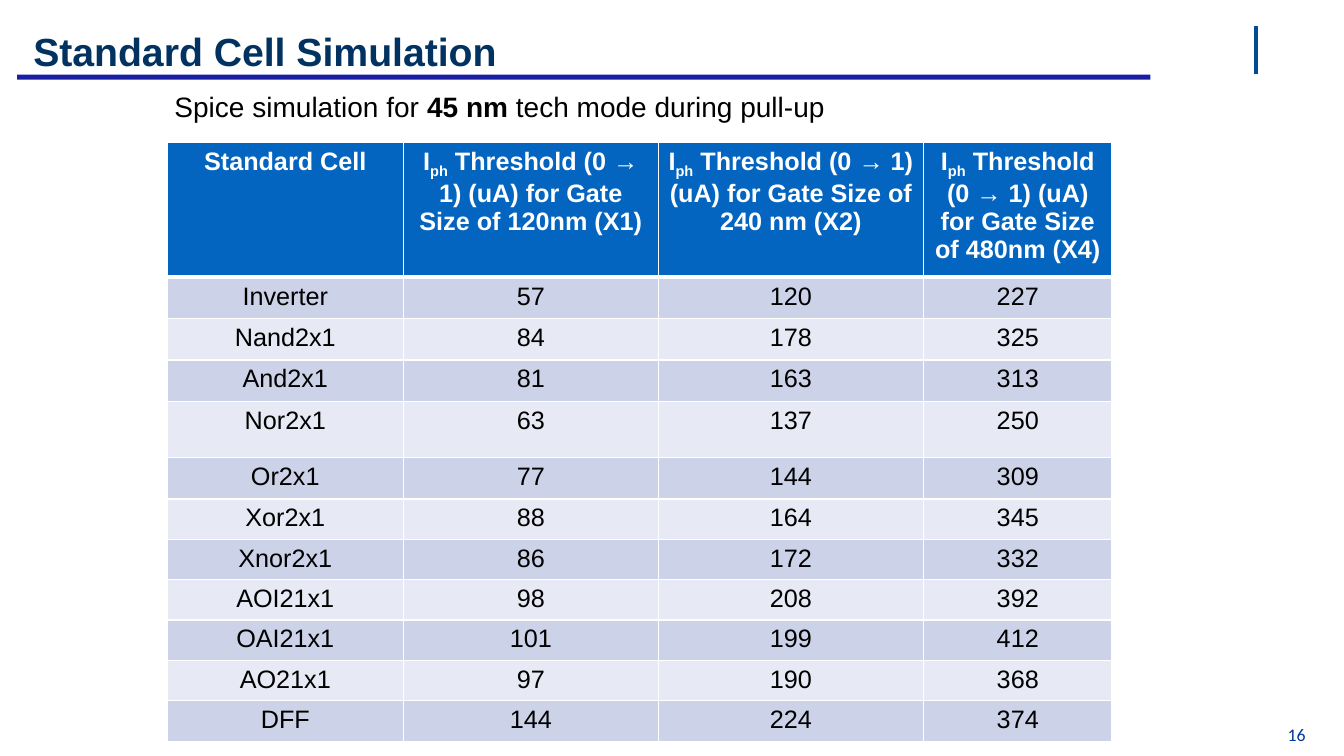
from lxml import etree
from pptx import Presentation
from pptx.dml.color import RGBColor
from pptx.enum.shapes import MSO_CONNECTOR, MSO_SHAPE
from pptx.enum.text import MSO_ANCHOR, PP_ALIGN
from pptx.oxml import parse_xml
from pptx.oxml.ns import nsdecls, qn
from pptx.util import Inches, Pt

CENTER = PP_ALIGN.CENTER
MIDDLE = MSO_ANCHOR.MIDDLE
RECT = MSO_SHAPE.RECTANGLE
STRAIGHT = MSO_CONNECTOR.STRAIGHT

WHITE = RGBColor(0xFF, 0xFF, 0xFF)
BLACK = RGBColor(0x00, 0x00, 0x00)
RULE_BLUE = RGBColor(0x19, 0x1E, 0xA2)
BAR_BLUE = RGBColor(0x02, 0x4C, 0x90)
TITLE_BLUE = RGBColor(0x01, 0x32, 0x60)
NUMBER_BLUE = RGBColor(0x00, 0x38, 0x93)
HEADER_BLUE = RGBColor(0x03, 0x65, 0xC0)
BANDS = [RGBColor(0xCC, 0xD3, 0xE8), RGBColor(0xE7, 0xEA, 0xF4)]

HEADERS = ["Standard Cell", "120nm (X1)", "240 nm (X2)", "480nm (X4)"]
CELLS = [
    ("Inverter", 57, 120, 227),
    ("Nand2x1", 84, 178, 325),
    ("And2x1", 81, 163, 313),
    ("Nor2x1", 63, 137, 250),
    ("Or2x1", 77, 144, 309),
    ("Xor2x1", 88, 164, 345),
    ("Xnor2x1", 86, 172, 332),
    ("AOI21x1", 98, 208, 392),
    ("OAI21x1", 101, 199, 412),
    ("AO21x1", 97, 190, 368),
    ("DFF", 144, 224, 374),
]
COL_WIDTHS = [2.34, 2.53, 2.63, 1.87]
ROW_HEIGHTS = [1.33] + [0.41] * 3 + [0.56, 0.41] + [0.4] * 6


def style(p, size, color, bold=False, name="Arial"):
    p.font.size = Pt(size)
    p.font.name = name
    p.font.bold = bold
    p.font.color.rgb = color


def set_borders(cell, top, bottom):
    tcPr = cell._tc.get_or_add_tcPr()
    for i, (side, width) in enumerate([("L", 1), ("R", 1), ("T", top), ("B", bottom)]):
        tcPr.insert(i, parse_xml(
            f'<a:ln{side} {nsdecls("a")} w="{Pt(width)}"><a:solidFill>'
            f'<a:srgbClr val="{WHITE}"/></a:solidFill></a:ln{side}>'))


prs = Presentation()
prs.slide_width = Inches(13.33)
prs.slide_height = Inches(7.5)
s = prs.slides.add_slide(prs.slide_layouts[6])

# Rule under the title
sp = s.shapes.add_shape(RECT, Inches(0.17), Inches(0.74), Inches(11.24), Inches(0.05))
sp.shadow.inherit = False
sp.fill.solid()
sp.fill.fore_color.rgb = RULE_BLUE
sp.line.fill.background()

# Vertical bar at the top right
bar = s.shapes.add_connector(STRAIGHT, Inches(12.46), Inches(0.26), Inches(12.46), Inches(0.73))
bar.line.color.rgb = BAR_BLUE
bar.line.width = Pt(3)
etree.SubElement(bar._element.spPr, qn("a:effectLst"))

# Title
tf = s.shapes.add_textbox(Inches(0.19), Inches(0.1), Inches(11.97), Inches(0.81)).text_frame
tf.word_wrap = True
tf.vertical_anchor = MIDDLE
tf.margin_left = tf.margin_right = tf.margin_top = tf.margin_bottom = Inches(0.14)
p = tf.paragraphs[0]
p.text = "Standard Cell Simulation"
style(p, 28, TITLE_BLUE, bold=True)

# Slide number
tf = s.shapes.add_textbox(Inches(12.75), Inches(7.18), Inches(0.22), Inches(0.21)).text_frame
tf.word_wrap = False
tf.margin_left = tf.margin_right = tf.margin_top = tf.margin_bottom = 0
p = tf.paragraphs[0]
p.text = "16"
p.alignment = CENTER
style(p, 12.7, NUMBER_BLUE, name="Calibri")

# Table of thresholds
table = s.shapes.add_table(len(ROW_HEIGHTS), len(COL_WIDTHS), Inches(1.66), Inches(1.41),
                           Inches(sum(COL_WIDTHS)), Inches(sum(ROW_HEIGHTS))).table
table.horz_banding = False
for column, width in zip(table.columns, COL_WIDTHS):
    column.width = Inches(width)
for row, height in zip(table.rows, ROW_HEIGHTS):
    row.height = Inches(height)

for i, values in enumerate([HEADERS] + CELLS):
    header = i == 0
    for j, value in enumerate(values):
        cell = table.cell(i, j)
        cell.fill.solid()
        cell.fill.fore_color.rgb = HEADER_BLUE if header else BANDS[(i - 1) % 2]
        set_borders(cell, top=3 if i == 1 else 1, bottom=3 if header else 1)
        p = cell.text_frame.paragraphs[0]
        p.alignment = CENTER
        style(p, 18, WHITE if header else BLACK, bold=header)
        if header and j > 0:
            p.add_run().text = "I"
            r = p.add_run()
            r.text = "ph"
            r.font._element.set("baseline", "-25000")
            p.add_run().text = f" Threshold (0 → 1) (uA) for Gate Size of {value}"
        else:
            p.add_run().text = str(value)

# Line above the table
tf = s.shapes.add_textbox(Inches(1.4), Inches(0.84), Inches(7.95), Inches(0.44)).text_frame
tf.word_wrap = True
tf.margin_left = Inches(0.33)
p = tf.paragraphs[0]
style(p, 20, BLACK)
for text, bold in [("Spice simulation for ", False), ("45 nm", True),
                   (" tech mode during pull-up", False)]:
    r = p.add_run()
    r.text = text
    r.font.bold = bold

prs.save("out.pptx")
